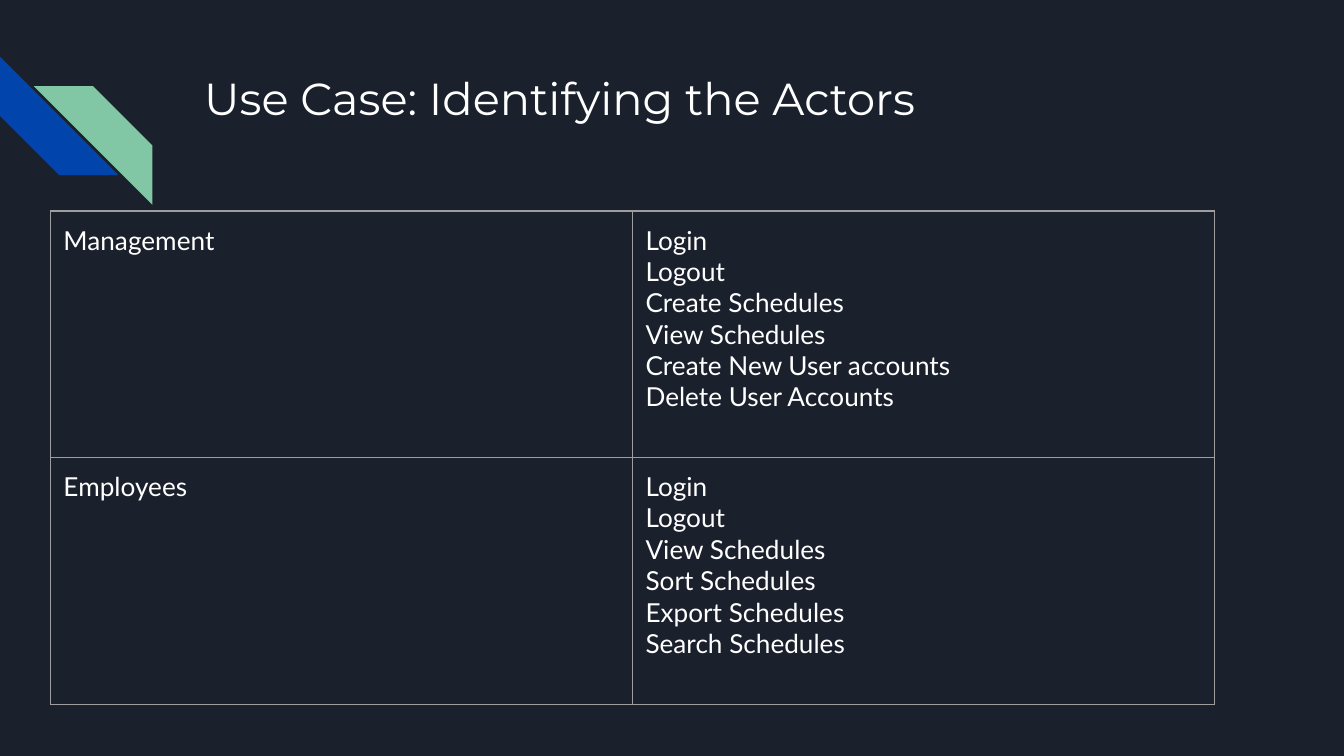
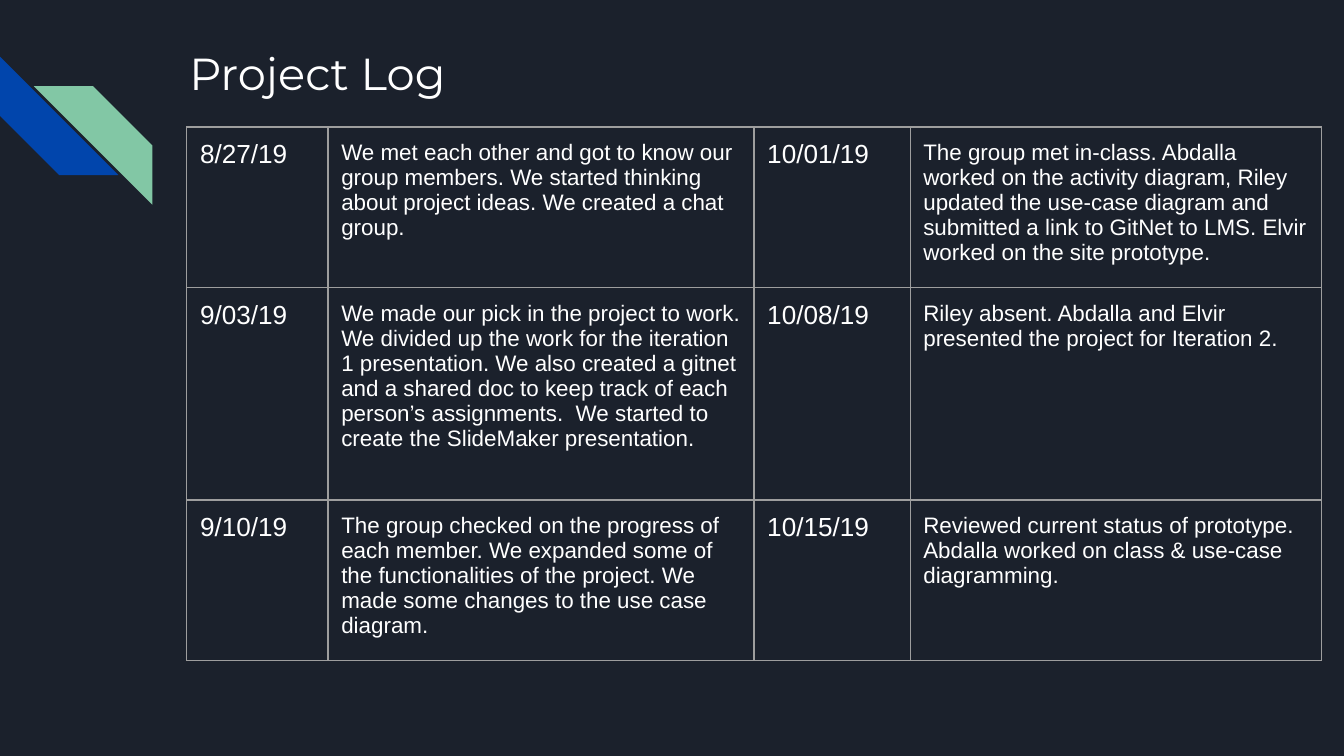
from lxml.etree import SubElement
from pptx import Presentation
from pptx.dml.color import RGBColor
from pptx.enum.shapes import MSO_SHAPE
from pptx.enum.text import MSO_ANCHOR
from pptx.oxml.ns import qn
from pptx.util import Cm, Pt

COLORS = {
    "background": "1B212C",
    "text": "FFFFFF",
    "blue": "0145AC",
    "green": "82C7A5",
    "border": "9E9E9E",
}
INSET = Cm(0.25)


def color(name):
    return RGBColor.from_string(COLORS[name])


class Deck:
    """Holds the shared style and the current slide."""

    def __init__(self):
        self.prs = Presentation()
        self.prs.slide_width = Cm(25.4)
        self.prs.slide_height = Cm(14.29)
        self.s = None

    def slide(self):
        self.s = self.prs.slides.add_slide(self.prs.slide_layouts[6])
        fill = self.s.background.fill
        fill.solid()
        fill.fore_color.rgb = color("background")
        self.stripe(0, 1.07, 270, "blue")
        self.stripe(0.64, 1.63, 90, "green")

    def stripe(self, x, y, rotation, fill):
        sp = self.s.shapes.add_shape(
            MSO_SHAPE.DIAGONAL_STRIPE, Cm(x), Cm(y), Cm(2.24), Cm(2.24))
        sp.adjustments[0] = 0.5
        sp.rotation = rotation
        sp.shadow.inherit = False
        sp.fill.solid()
        sp.fill.fore_color.rgb = color(fill)
        sp.line.fill.background()

    def format_text(self, tf, font, size):
        for p in tf.paragraphs:
            for r in p.runs:
                r.font.name = font
                r.font.size = Pt(size)
                r.font.color.rgb = color("text")

    def set_margins(self, box):
        box.margin_left = box.margin_right = INSET
        box.margin_top = box.margin_bottom = INSET
        box.vertical_anchor = MSO_ANCHOR.TOP

    def title(self, text, x, y):
        sp = self.s.shapes.add_textbox(Cm(x), Cm(y), Cm(19.56), Cm(2.54))
        tf = sp.text_frame
        tf.word_wrap = True
        self.set_margins(tf)
        tf.text = text
        self.format_text(tf, "Montserrat", 24)

    def border(self, cell):
        tcPr = cell._tc.get_or_add_tcPr()
        for side in ("a:lnL", "a:lnR", "a:lnT", "a:lnB"):
            ln = SubElement(tcPr, qn(side), w=str(Pt(0.75)))
            fill = SubElement(ln, qn("a:solidFill"))
            SubElement(fill, qn("a:srgbClr"), val=COLORS["border"])

    def table(self, rows, x, y, widths, heights, font, sizes):
        """Draws rows of text; sizes gives the text size of each column."""
        table = self.s.shapes.add_table(
            len(rows), len(widths), Cm(x), Cm(y),
            Cm(sum(widths)), Cm(sum(heights))).table
        table.first_row = table.horz_banding = False
        for column, width in zip(table.columns, widths):
            column.width = Cm(width)
        for row, height, texts in zip(table.rows, heights, rows):
            row.height = Cm(height)
            for cell, text, size in zip(row.cells, texts, sizes):
                self.set_margins(cell)
                cell.text_frame.text = text
                self.format_text(cell.text_frame, font, size)
                self.border(cell)
                cell.fill.background()


ACTORS = [
    ("Management", "\n".join([
        "Login", "Logout", "Create Schedules", "View Schedules",
        "Create New User accounts", "Delete User Accounts"])),
    ("Employees", "\n".join([
        "Login", "Logout", "View Schedules", "Sort Schedules",
        "Export Schedules", "Search Schedules"])),
]

LOG = [
    ("8/27/19",
     "We met each other and got to know our group members. We started "
     "thinking about project ideas. We created a chat group.",
     "10/01/19",
     "The group met in-class. Abdalla worked on the activity diagram, Riley "
     "updated the use-case diagram and submitted a link to GitNet to LMS. "
     "Elvir worked on the site prototype."),
    ("9/03/19",
     "We made our pick in the project to work. We divided up the work for "
     "the iteration 1 presentation. We also created a gitnet and a shared "
     "doc to keep track of each person’s assignments.  We started to create "
     "the SlideMaker presentation.",
     "10/08/19",
     "Riley absent. Abdalla and Elvir presented the project for Iteration 2."),
    ("9/10/19",
     "The group checked on the progress of each member. We expanded some of "
     "the functionalities of the project. We made some changes to the use "
     "case diagram.",
     "10/15/19",
     "Reviewed current status of prototype. Abdalla worked on class & "
     "use-case diagramming."),
]


def main():
    deck = Deck()

    # Actors and their use cases
    deck.slide()
    deck.title("Use Case: Identifying the Actors", 3.61, 1.09)
    deck.table(ACTORS, 0.95, 3.99, [11] * 2, [4.66] * 2, "Lato", [14] * 2)

    # Project log, two date and entry pairs per row
    deck.slide()
    deck.title("Project Log", 3.33, 0.61)
    deck.table(LOG, 3.53, 2.4, [2.67, 8.05, 2.95, 7.77], [3, 4.01, 2.87],
               "Arial", [14, 12] * 2)

    deck.prs.save("out.pptx")


if __name__ == "__main__":
    main()
